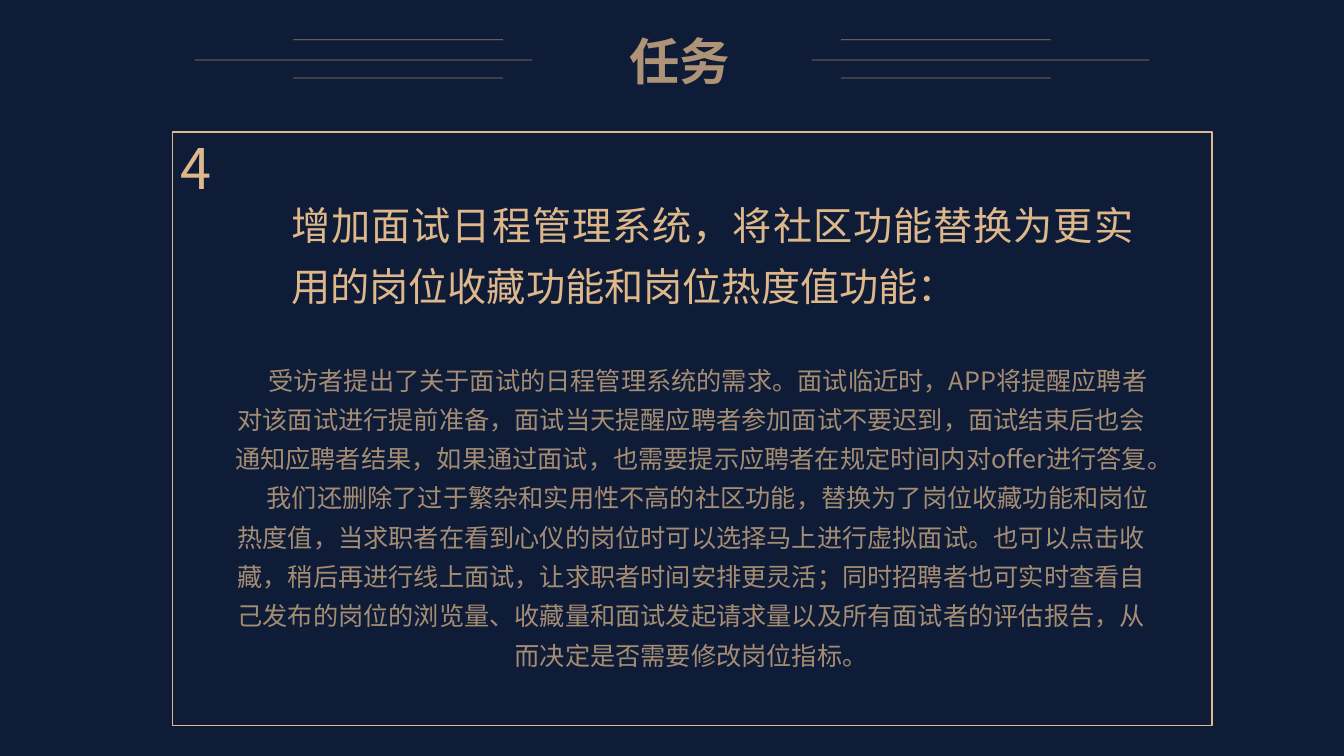
from lxml.etree import SubElement
from pptx import Presentation
from pptx.dml.color import RGBColor
from pptx.enum.lang import MSO_LANGUAGE_ID
from pptx.enum.shapes import MSO_CONNECTOR, MSO_SHAPE
from pptx.enum.text import MSO_ANCHOR, MSO_AUTO_SIZE, PP_ALIGN
from pptx.oxml.ns import qn
from pptx.util import Inches, Pt

NAVY = RGBColor(0x0F, 0x1C, 0x37)
GOLD = RGBColor(0xDE, 0xB8, 0x8B)
FONT = "Noto Sans CJK SC"
SLIDE_WIDTH, SLIDE_HEIGHT = 13.33, 7.5

TITLE = "任务"
NUMBER = "4"
HEADING = "增加面试日程管理系统，将社区功能替换为更实用的岗位收藏功能和岗位热度值功能："
DETAILS = [
    "受访者提出了关于面试的日程管理系统的需求。面试临近时，APP将提醒应聘者对该面试进行提前准备，"
    "面试当天提醒应聘者参加面试不要迟到，面试结束后也会通知应聘者结果，如果通过面试，"
    "也需要提示应聘者在规定时间内对offer进行答复。",
    "我们还删除了过于繁杂和实用性不高的社区功能，替换为了岗位收藏功能和岗位热度值，"
    "当求职者在看到心仪的岗位时可以选择马上进行虚拟面试。也可以点击收藏，稍后再进行线上面试，"
    "让求职者时间安排更灵活；同时招聘者也可实时查看自己发布的岗位的浏览量、"
    "收藏量和面试发起请求量以及所有面试者的评估报告，从而决定是否需要修改岗位指标。",
]


def set_opacity(parent, percent):
    """Make the solid colour inside the given XML element translucent."""
    color = next(parent.iter(qn("a:srgbClr")))
    SubElement(color, qn("a:alpha"), val=str(percent * 1000))


def place(shape, left, top, width, height):
    shape.left, shape.top = Inches(left), Inches(top)
    shape.width, shape.height = Inches(width), Inches(height)


def write(shape, paragraphs, size, align, spacing=1.0, opacity=100, bold=False,
          side_margin=0.1, indent=0, anchor=MSO_ANCHOR.TOP):
    text_frame = shape.text_frame
    text_frame.text = "\n".join(paragraphs)
    text_frame.auto_size = MSO_AUTO_SIZE.NONE
    text_frame.word_wrap = True
    text_frame.margin_left = text_frame.margin_right = Inches(side_margin)
    text_frame.vertical_anchor = anchor
    for paragraph in text_frame.paragraphs:
        paragraph.alignment = align
        paragraph.line_spacing = spacing
        paragraph.space_before = paragraph.space_after = Pt(0)
        properties = paragraph._p.get_or_add_pPr()
        properties.set("marL", "0")
        properties.set("indent", str(Inches(indent)))
        SubElement(properties, qn("a:buNone"))
        for run in paragraph.runs:
            font = run.font
            font.name, font.size, font.bold = FONT, Pt(size), bold
            font.color.rgb = GOLD
            font.language_id = MSO_LANGUAGE_ID.SIMPLIFIED_CHINESE
            SubElement(font._element, qn("a:ea"), typeface=FONT)
            if opacity < 100:
                set_opacity(font._element, opacity)


def add_title_lines(slide, inner, direction, middle):
    """Draw one long line between two short ones, running outward from inner."""
    for offset, start, length in ((0, 0, 3.35), (-0.2, 0.29, 2.08), (0.18, 0.29, 2.08)):
        begin = inner + direction * start
        y = Inches(middle + offset)
        line = slide.shapes.add_connector(
            MSO_CONNECTOR.STRAIGHT, Inches(begin), y,
            Inches(begin + direction * length), y)
        line.line.color.rgb = GOLD
        line.line.width = Pt(0.5)
        set_opacity(line._element.spPr, 65)
        SubElement(line._element.spPr, qn("a:effectLst"))


def add_header(slide, left, top, width, height):
    title = slide.shapes.title
    place(title, left, top, width, height)
    write(title, [TITLE], 36, PP_ALIGN.CENTER, opacity=76, bold=True, side_margin=0,
          anchor=MSO_ANCHOR.MIDDLE)
    middle = top + height / 2
    add_title_lines(slide, left + width + 0.71, 1, middle)
    add_title_lines(slide, left - 0.86, -1, middle)


def add_task_panel(slide, left, top, width, height):
    frame = slide.shapes.add_shape(MSO_SHAPE.RECTANGLE, Inches(left), Inches(top),
                                   Inches(width), Inches(height))
    frame.shadow.inherit = False
    frame.fill.background()
    frame.line.color.rgb = GOLD
    frame.line.width = Pt(1)

    number = slide.shapes.add_textbox(0, 0, 0, 0)
    place(number, left - 0.02, top - 0.23, 2.91, 0.97)
    write(number, [NUMBER], 40, PP_ALIGN.JUSTIFY, spacing=1.3)

    heading = slide.shapes.add_textbox(0, 0, 0, 0)
    place(heading, left + 1.08, top + 0.5, 8.55, 1.32)
    write(heading, [HEADING], 28, PP_ALIGN.JUSTIFY, spacing=1.3)

    details = slide.placeholders[1]
    place(details, left + 0.49, top + 2.17, 9.31, 3.64)
    write(details, DETAILS, 18, PP_ALIGN.CENTER, spacing=1.3, opacity=72, indent=0.33)


def main():
    presentation = Presentation()
    presentation.slide_width = Inches(SLIDE_WIDTH)
    presentation.slide_height = Inches(SLIDE_HEIGHT)
    slide = presentation.slides.add_slide(presentation.slide_layouts[1])
    slide.background.fill.solid()
    slide.background.fill.fore_color.rgb = NAVY
    add_header(slide, 6.14, 0.24, 1.2, 0.71)
    add_task_panel(slide, 1.71, 1.31, 10.31, 5.89)
    presentation.save("out.pptx")


if __name__ == "__main__":
    main()
